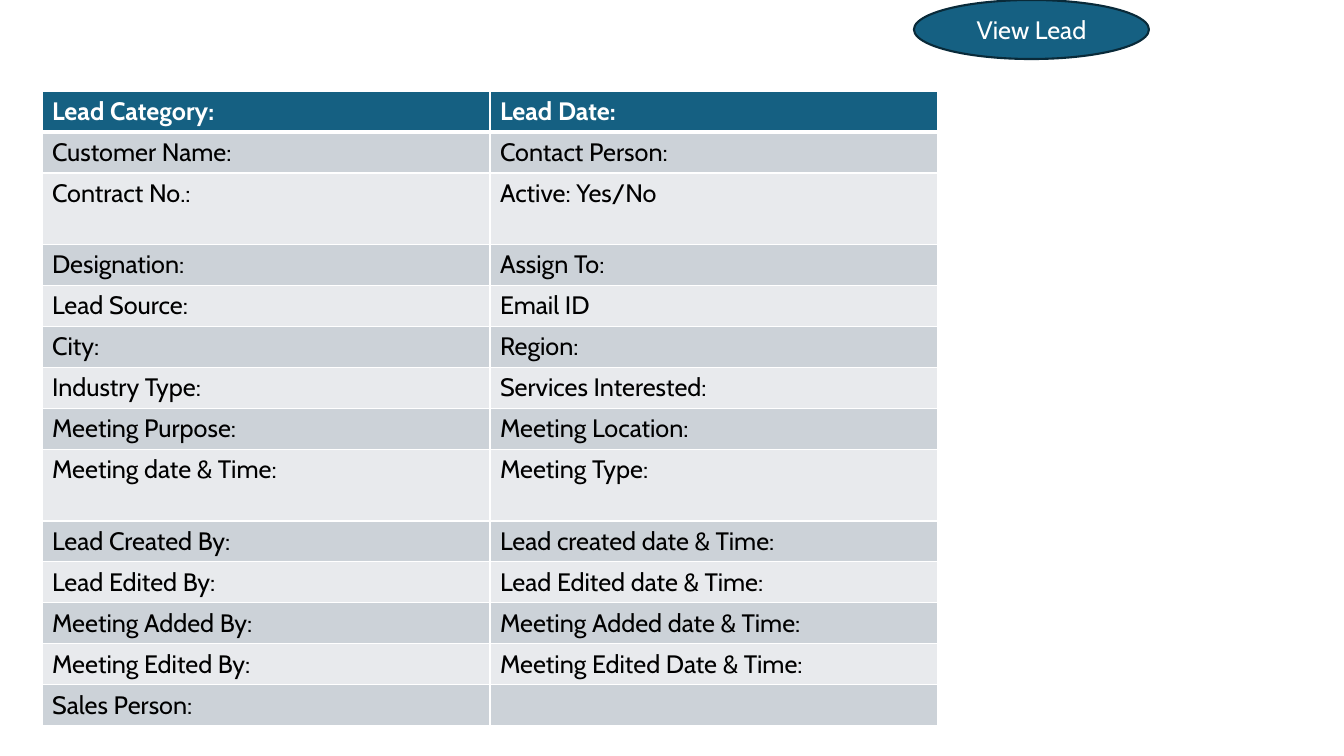
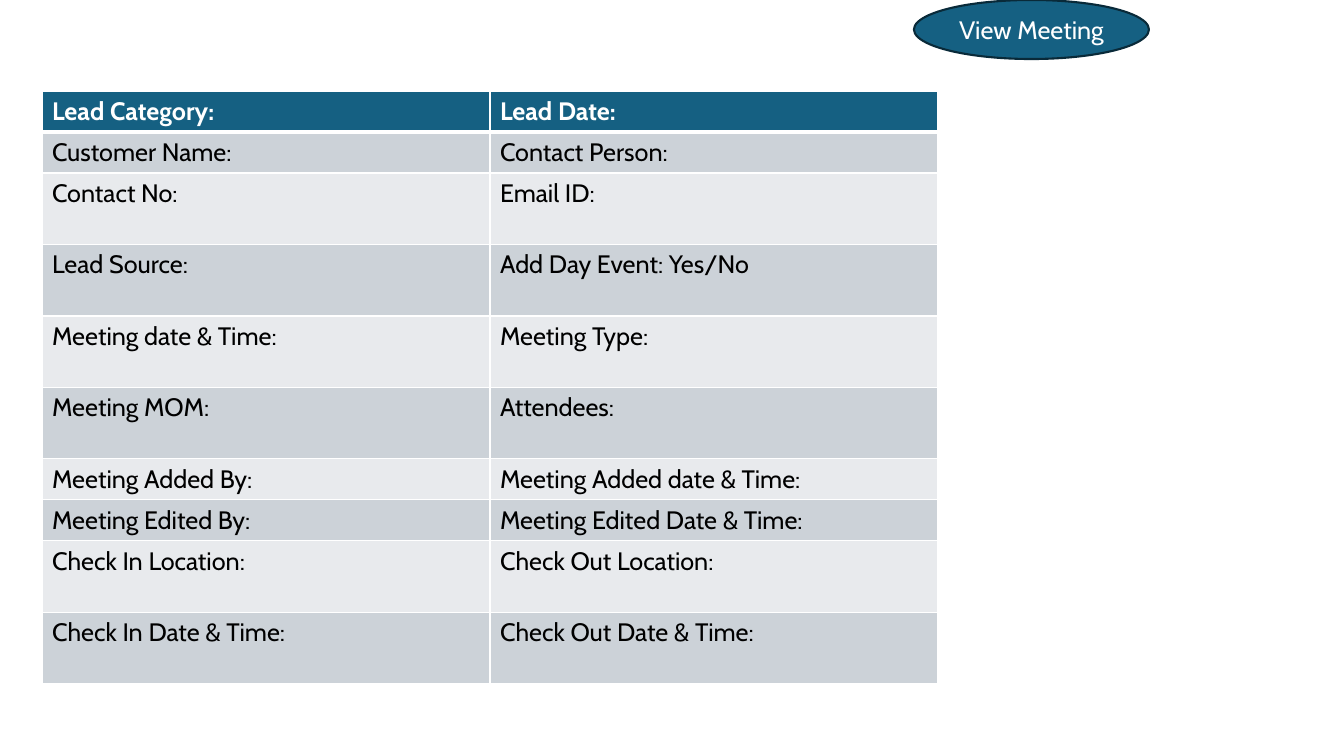
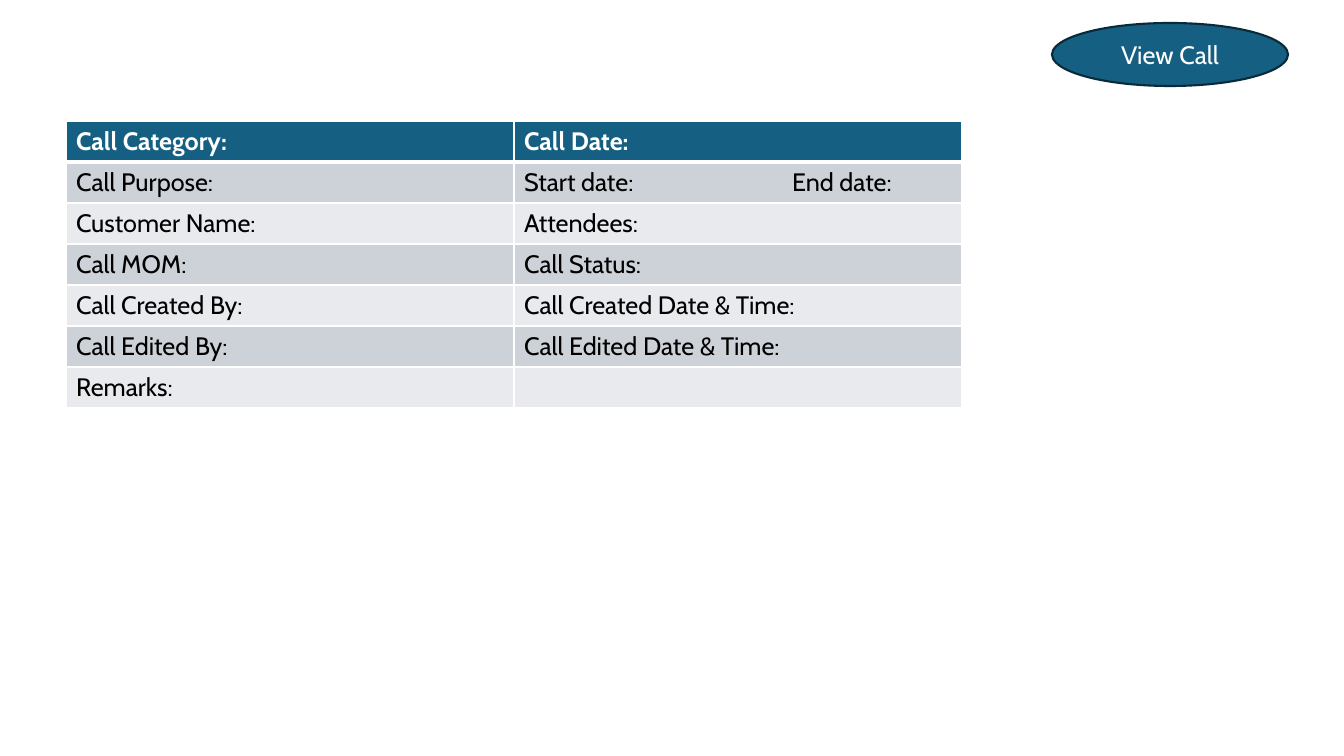
from lxml.etree import SubElement
from pptx import Presentation
from pptx.dml.color import RGBColor
from pptx.enum.shapes import MSO_SHAPE as Preset
from pptx.enum.text import MSO_ANCHOR as Anchor, PP_ALIGN as Align
from pptx.oxml.ns import qn
from pptx.util import Emu, Pt

SLIDE_WIDTH, SLIDE_HEIGHT = 1344, 756
EMU_PER_PX = 12192000 / SLIDE_WIDTH

FONT = "Cabin"
TEAL = RGBColor(0x15, 0x60, 0x82)
DARK_TEAL = RGBColor(0x09, 0x2A, 0x39)
WHITE = RGBColor(0xFF, 0xFF, 0xFF)
BLACK = RGBColor(0, 0, 0)
BANDS = RGBColor(0xE8, 0xEA, 0xED), RGBColor(0xCC, 0xD2, 0xD8)


def px(length):
    return Emu(round(length * EMU_PER_PX))


COLUMN_WIDTH = px(448)
ROW_HEIGHT = px(41)
TALL_ROW_HEIGHT = Emu(px(143) // 2)
END_DATE_TAB = px(268)

LEAD_ROWS = [
    ("Lead Category:", "Lead Date:"),
    ("Customer Name:", "Contact Person:"),
]
MEETING_SLOT = ("Meeting date & Time:", "Meeting Type:")
MEETING_HISTORY = [
    ("Meeting Added By:", "Meeting Added date & Time:"),
    ("Meeting Edited By:", "Meeting Edited Date & Time:"),
]
VIEW_LEAD = [
    *LEAD_ROWS,
    ("Contract No.:", "Active: Yes/No"),
    ("Designation:", "Assign To:"),
    ("Lead Source:", "Email ID"),
    ("City:", "Region:"),
    ("Industry Type:", "Services Interested:"),
    ("Meeting Purpose:", "Meeting Location:"),
    MEETING_SLOT,
    ("Lead Created By:", "Lead created date & Time:"),
    ("Lead Edited By:", "Lead Edited date & Time:"),
    *MEETING_HISTORY,
    ("Sales Person:", ""),
]
VIEW_MEETING = [
    *LEAD_ROWS,
    ("Contact No:", "Email ID:"),
    ("Lead Source:", "Add Day Event: Yes/No"),
    MEETING_SLOT,
    ("Meeting MOM:", "Attendees:"),
    *MEETING_HISTORY,
    ("Check In Location:", "Check Out Location:"),
    ("Check In Date & Time:", "Check Out Date & Time:"),
]
VIEW_CALL = [
    ("Call Category:", "Call Date:"),
    ("Call Purpose:", "Start date:\tEnd date:"),
    ("Customer Name:", "Attendees:"),
    ("Call MOM:", "Call Status:"),
    ("Call Created By:", "Call Created Date & Time:"),
    ("Call Edited By:", "Call Edited Date & Time:"),
    ("Remarks:", ""),
]


def write(frame, text, color, bold=False, align=Align.LEFT):
    paragraph = frame.paragraphs[0]
    paragraph.text = text
    paragraph.alignment = align
    for run in paragraph.runs:
        run.font.name = FONT
        run.font.size = Pt(18)
        run.font.bold = bold
        run.font.color.rgb = color
    if "\t" in text:
        tabs = SubElement(paragraph._p.get_or_add_pPr(), qn("a:tabLst"))
        SubElement(tabs, qn("a:tab"), pos=str(END_DATE_TAB), algn="l")


def add_borders(cell, top, bottom):
    properties = cell._tc.get_or_add_tcPr()
    for side, points in (("L", 1), ("R", 1), ("T", top), ("B", bottom)):
        border = SubElement(properties, qn(f"a:ln{side}"), w=str(Pt(points)))
        fill = SubElement(border, qn("a:solidFill"))
        SubElement(fill, qn("a:srgbClr"), val=str(WHITE))


def add_view_label(slide, text, left, top, width, height):
    label = slide.shapes.add_shape(Preset.OVAL, px(left), px(top), px(width), px(height))
    label.shadow.inherit = False
    label.fill.solid()
    label.fill.fore_color.rgb = TEAL
    label.line.color.rgb = DARK_TEAL
    label.line.width = Pt(1.5)
    label.text_frame.vertical_anchor = Anchor.MIDDLE
    write(label.text_frame, text, WHITE, align=Align.CENTER)


def add_field_table(slide, fields, left, top, tall_rows=()):
    heights = [TALL_ROW_HEIGHT if i in tall_rows else ROW_HEIGHT for i in range(len(fields))]
    table = slide.shapes.add_table(
        len(fields), 2, px(left), px(top), 2 * COLUMN_WIDTH, sum(heights)
    ).table
    for column in table.columns:
        column.width = COLUMN_WIDTH
    for row_index, (labels, height) in enumerate(zip(fields, heights)):
        table.rows[row_index].height = height
        is_header = row_index == 0
        for column_index, text in enumerate(labels):
            cell = table.cell(row_index, column_index)
            add_borders(cell, 3 if row_index == 1 else 1, 3 if is_header else 1)
            cell.fill.solid()
            cell.fill.fore_color.rgb = TEAL if is_header else BANDS[row_index % 2]
            write(cell.text_frame, text, WHITE if is_header else BLACK, is_header)


def main():
    deck = Presentation()
    deck.slide_width, deck.slide_height = px(SLIDE_WIDTH), px(SLIDE_HEIGHT)
    views = [
        ("View Lead", (914, 0, 235, 59), VIEW_LEAD, (42, 91), (2, 8)),
        ("View Meeting", (914, 0, 235, 59), VIEW_MEETING, (42, 91), (2, 3, 4, 5, 8, 9)),
        ("View Call", (1052, 23, 236, 63), VIEW_CALL, (66, 121), ()),
    ]
    for title, label_box, fields, table_corner, tall_rows in views:
        slide = deck.slides.add_slide(deck.slide_layouts[6])
        add_view_label(slide, title, *label_box)
        add_field_table(slide, fields, *table_corner, tall_rows)
    deck.save("out.pptx")


if __name__ == "__main__":
    main()
